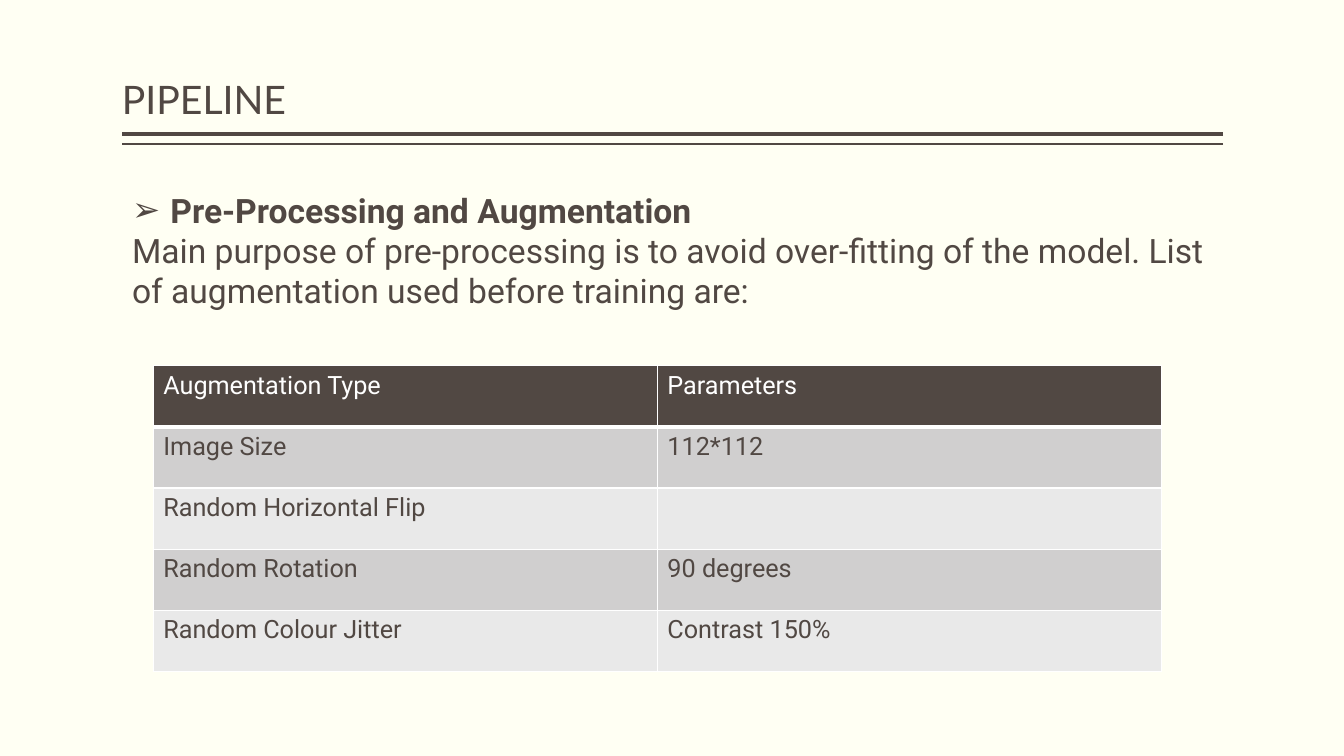
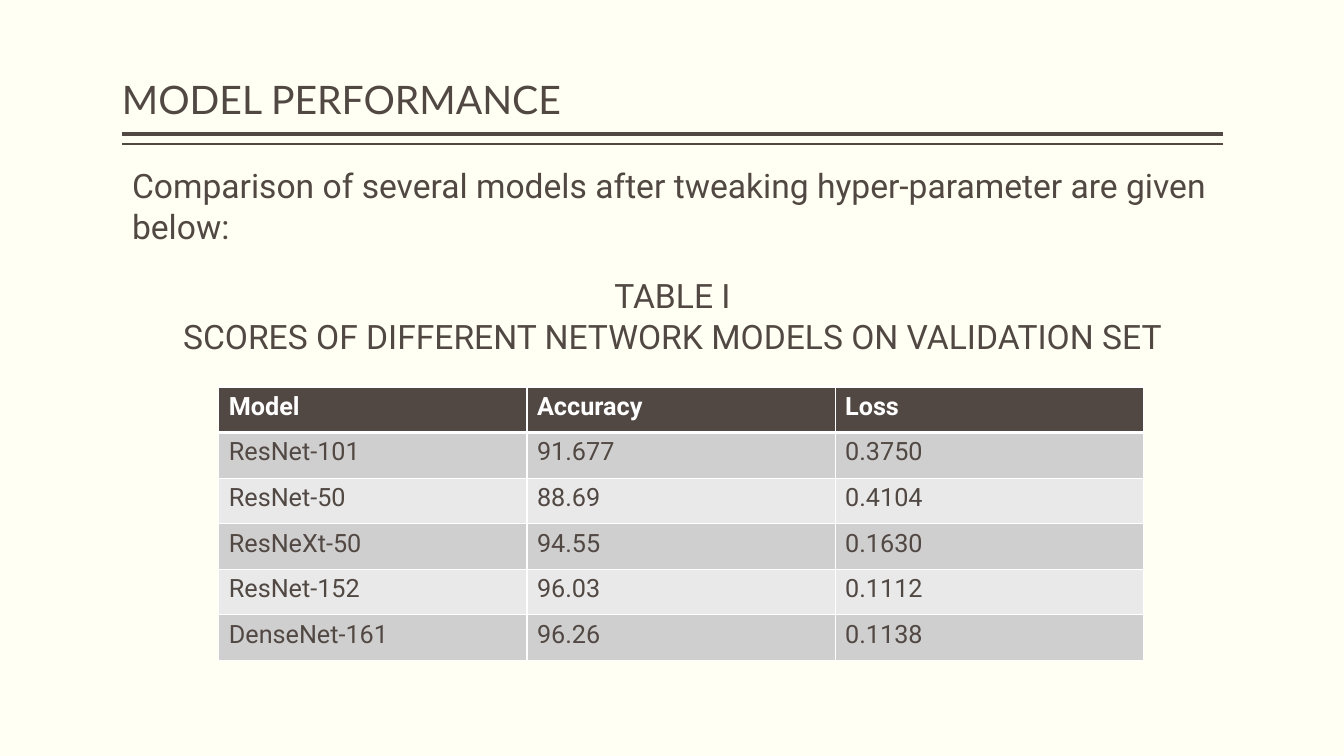
from dataclasses import dataclass

from lxml import etree
from pptx import Presentation
from pptx import util as u
from pptx.dml.color import RGBColor
from pptx.enum import shapes, text
from pptx.oxml import ns

PX = 9144


@dataclass(frozen=True)
class Theme:
    paper: str = "FFFFF3"
    ink: str = "514843"
    white: str = "FFFFFF"
    bands: tuple = ("D0CFCF", "E9E9E9")
    title_font: str = "Lato"
    body_font: str = "Roboto"
    title_size: int = 28
    body_size: int = 24
    cell_size: int = 18
    thick: int = 3
    thin: int = 1


@dataclass(frozen=True)
class Line:
    words: str
    bold: bool = False
    bullet: str = ""
    centered: bool = False
    gap: int = 0


THEME = Theme()
TITLE_BOX = (121, 0, 1092, 127)
RULES = ((133, THEME.thick), (143, THEME.thin))


def px(length):
    return u.Emu(length * PX)


def rgb(color):
    return RGBColor.from_string(color)


def style(font, name, size, color, bold=False):
    font.name = name
    font.size = u.Pt(size)
    font.color.rgb = rgb(color)
    font.bold = bold


def place(part, box):
    part.left, part.top, part.width, part.height = map(px, box)


def add_rules(master, slide):
    left, _, width, _ = TITLE_BOX
    for y, weight in RULES:
        rule = slide.shapes.add_connector(
            shapes.MSO_CONNECTOR.STRAIGHT, px(left + width), px(y), px(left), px(y))
        rule.line.color.rgb = rgb(THEME.ink)
        rule.line.width = u.Pt(weight)
        etree.SubElement(rule.element.spPr, ns.qn("a:effectLst"))
        master.shapes.element.append(rule.element)


def add_title(slide, words):
    title = slide.shapes.title
    place(title, TITLE_BOX)
    frame = title.text_frame
    frame.text = words
    frame.auto_size = text.MSO_AUTO_SIZE.NONE
    frame.vertical_anchor = text.MSO_ANCHOR.BOTTOM
    frame.margin_left = frame.margin_right = 0
    heading = frame.paragraphs[0]
    heading.alignment = text.PP_ALIGN.LEFT
    heading.line_spacing = 0.9
    style(heading.font, THEME.title_font, THEME.title_size, THEME.ink)


def set_bullet(paragraph, mark, indent=38):
    props = paragraph._p.get_or_add_pPr()
    hang = px(indent) if mark else 0
    props.set("marL", str(hang))
    props.set("indent", str(-hang))
    if mark:
        etree.SubElement(props, ns.qn("a:buChar")).set("char", mark)
    else:
        etree.SubElement(props, ns.qn("a:buNone"))


def add_body(slide, box, lines):
    body = slide.placeholders[1]
    place(body, box)
    frame = body.text_frame
    frame.text = "\n".join(line.words for line in lines)
    frame.auto_size = text.MSO_AUTO_SIZE.NONE
    for paragraph, line in zip(frame.paragraphs, lines):
        set_bullet(paragraph, line.bullet)
        paragraph.space_before = u.Pt(line.gap)
        paragraph.alignment = (
            text.PP_ALIGN.CENTER if line.centered else text.PP_ALIGN.LEFT)
        style(paragraph.font, THEME.body_font, THEME.body_size, THEME.ink, line.bold)


def set_borders(cell, top, bottom):
    props = cell._tc.get_or_add_tcPr()
    weights = {"lnL": THEME.thin, "lnR": THEME.thin, "lnT": top, "lnB": bottom}
    for side, weight in weights.items():
        edge = etree.SubElement(props, ns.qn(f"a:{side}"))
        edge.set("w", str(u.Pt(weight)))
        fill = etree.SubElement(edge, ns.qn("a:solidFill"))
        etree.SubElement(fill, ns.qn("a:srgbClr")).set("val", THEME.white)


def add_scores(slide, box, rows, bold_header=False):
    left, top, width, height = map(px, box)
    table = slide.shapes.add_table(
        len(rows), len(rows[0]), left, top, width, height).table
    for r, row in enumerate(rows):
        header = r == 0
        fill = THEME.ink if header else THEME.bands[(r - 1) % 2]
        color = THEME.white if header else THEME.ink
        for c, words in enumerate(row):
            cell = table.cell(r, c)
            set_borders(cell,
                        THEME.thick if r == 1 else THEME.thin,
                        THEME.thick if header else THEME.thin)
            cell.fill.solid()
            cell.fill.fore_color.rgb = rgb(fill)
            cell.text = words
            style(cell.text_frame.paragraphs[0].font, THEME.body_font,
                  THEME.cell_size, color, header and bold_header)


def add_pipeline(slide):
    add_title(slide, "PIPELINE")
    add_body(slide, (121, 183, 1092, 131), [
        Line("Pre-Processing and Augmentation", bold=True, bullet="➢"),
        Line("Main purpose of pre-processing is to avoid over-fitting of the model. "
             "List of augmentation used before training are:"),
    ])
    add_scores(slide, (152, 363, 1000, 303), [
        ("Augmentation Type", "Parameters"),
        ("Image Size", "112*112"),
        ("Random Horizontal Flip", ""),
        ("Random Rotation", "90 degrees"),
        ("Random Colour Jitter", "Contrast 150%"),
    ])


def add_performance(slide):
    add_title(slide, "MODEL PERFORMANCE")
    add_body(slide, (121, 159, 1092, 202), [
        Line("Comparison of several models after tweaking hyper-parameter "
             "are given below:"),
        Line("TABLE I", centered=True, gap=21),
        Line("SCORES OF DIFFERENT NETWORK MODELS ON VALIDATION SET", centered=True),
    ])
    add_scores(slide, (217, 384, 917, 271), [
        ("Model", "Accuracy", "Loss"),
        ("ResNet-101", "91.677", "0.3750"),
        ("ResNet-50", "88.69", "0.4104"),
        ("ResNeXt-50", "94.55", "0.1630"),
        ("ResNet-152", "96.03", "0.1112"),
        ("DenseNet-161", "96.26", "0.1138"),
    ], bold_header=True)


def main():
    deck = Presentation()
    deck.slide_width, deck.slide_height = px(1333), px(750)
    master = deck.slide_master
    master.background.fill.solid()
    master.background.fill.fore_color.rgb = rgb(THEME.paper)
    layout = deck.slide_layouts[1]
    pipeline, performance = (deck.slides.add_slide(layout) for _ in range(2))
    add_rules(master, pipeline)
    add_pipeline(pipeline)
    add_performance(performance)
    deck.save("out.pptx")


if __name__ == "__main__":
    main()
